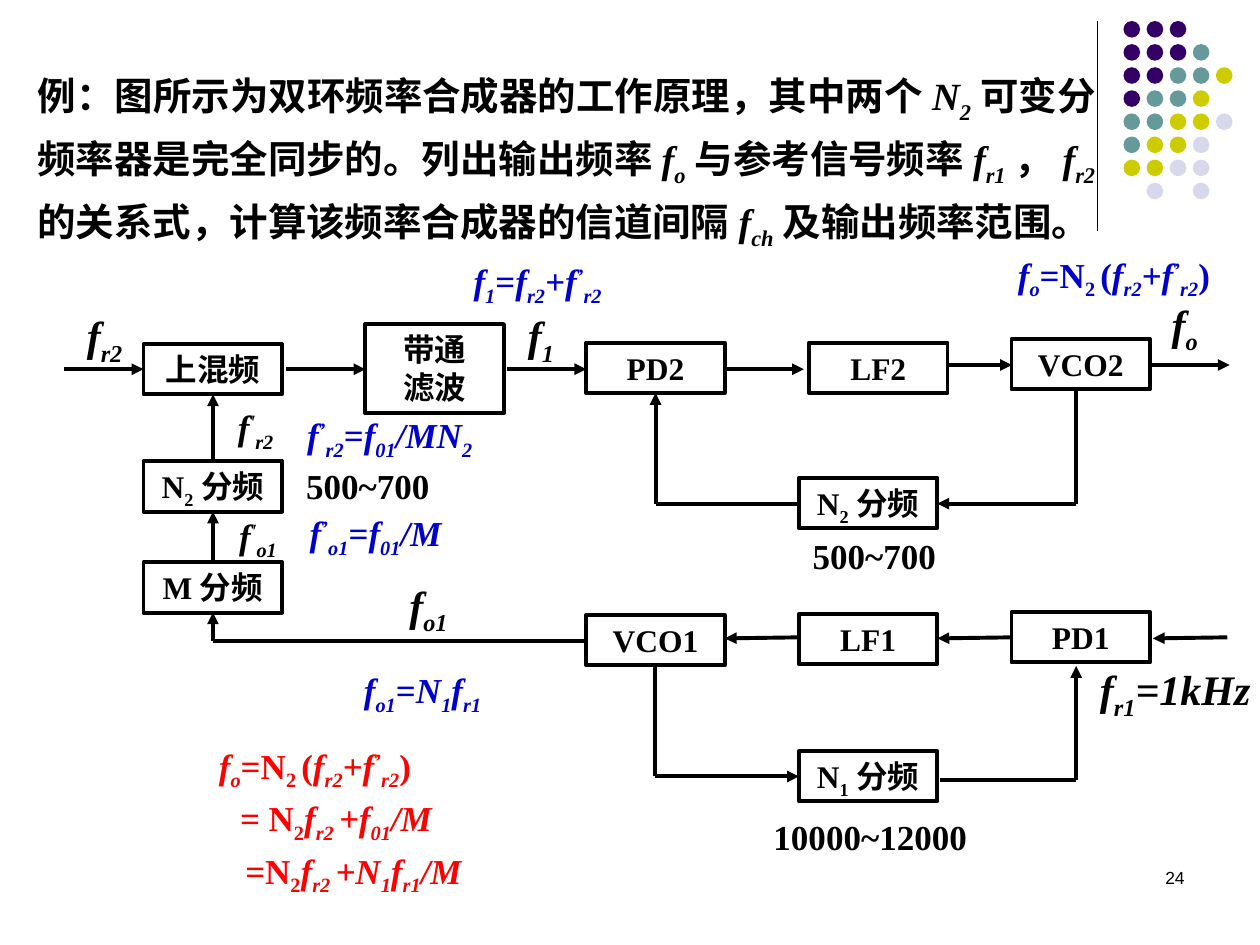
from itertools import pairwise

from lxml import etree
from pptx import Presentation
from pptx.dml.color import RGBColor
from pptx.enum.shapes import MSO_CONNECTOR, MSO_SHAPE
from pptx.enum.text import MSO_ANCHOR, MSO_AUTO_SIZE, PP_ALIGN
from pptx.oxml.ns import qn
from pptx.util import Pt

STRAIGHT = MSO_CONNECTOR.STRAIGHT
OVAL, RECTANGLE = MSO_SHAPE.OVAL, MSO_SHAPE.RECTANGLE
TOP = MSO_ANCHOR.TOP
GROW = MSO_AUTO_SIZE.SHAPE_TO_FIT_TEXT
CENTER, JUSTIFY, RIGHT = PP_ALIGN.CENTER, PP_ALIGN.JUSTIFY, PP_ALIGN.RIGHT
BLACK, BLUE, RED = "000000", "0000CC", "FF0000"
BASELINES = {"_": "-25000", "-": "-25000", "^": "30000"}


def color(value):
    return RGBColor.from_string(value)


def write(paragraph, markup, size, ink=BLACK):
    for piece in markup.split("|"):
        mark = piece[0] if piece[0] in "*_-^" else ""
        run = paragraph.add_run()
        run.text = piece[len(mark):]
        run.font.name = "Times New Roman"
        run.font.size = Pt(size)
        run.font.bold = True
        run.font.italic = mark in ("*", "_", "^")
        run.font.color.rgb = color(ink)
        if mark in BASELINES:
            run.font._element.set("baseline", BASELINES[mark])


presentation = Presentation()
presentation.slide_width = Pt(720)
presentation.slide_height = Pt(540)
slide = presentation.slides.add_slide(presentation.slide_layouts[6])
shapes = slide.shapes

dot_colors = {"P": "330066", "T": "669999", "Y": "CCCC00", "L": "D8D8EC"}
dot_rows = ["PPP", "PPPT", "PPTTY", "PTTY", "TTYYL", "TYYL", "YYLL", " L L"]
dots = shapes.add_group_shape()
for row, letters in enumerate(dot_rows):
    for column, letter in enumerate(letters):
        if letter in dot_colors:
            dot = dots.shapes.add_shape(OVAL, Pt(642 + 13.2 * column), Pt(12 + 13.2 * row),
                                        Pt(9.5), Pt(9.5))
            dot.shadow.inherit = False
            dot.fill.solid()
            dot.fill.fore_color.rgb = color(dot_colors[letter])
            dot.line.fill.background()

number_box = shapes.add_textbox(Pt(516), Pt(492), Pt(168), Pt(36))
number_box.text_frame.word_wrap = True
paragraph = number_box.text_frame.paragraphs[0]
paragraph.alignment = RIGHT
run = paragraph.add_run()
run.text = "24"
run.font.name = "Arial"
run.font.size = Pt(10)
run.font.color.rgb = color(BLACK)

question = shapes.add_textbox(Pt(14.4), Pt(31.7), Pt(618.8), Pt(112.3))
question.text_frame.word_wrap = True
paragraph = question.text_frame.paragraphs[0]
paragraph.alignment = JUSTIFY
paragraph.line_spacing = Pt(36)
paragraph._p.get_or_add_pPr().set("hangingPunct", "0")
write(paragraph, "例：图所示为双环频率合成器的工作原理，其中两个|*N|_2|可变分频率器是完全同步的。"
      "列出输出频率|*f|_o|与参考信号频率|*f|_r1|，|*f|_r2|的关系式，"
      "计算该频率合成器的信道间隔|*f|_ch|及输出频率范围。", 22)

blocks = [
    (82, 196.6, 28.8, ["上混频"]),
    (82, 263.6, 28.8, ["N|-2|分频"]),
    (82, 321.3, 28.8, ["M分频"]),
    (208.8, 185.2, 51, ["带通", "滤波"]),
    (335, 195.8, 28.8, ["PD2"]),
    (462.3, 195.8, 28.8, ["LF2"]),
    (578, 193.8, 28.8, ["VCO2"]),
    (456.5, 273, 28.8, ["N|-2|分频"]),
    (335, 351.5, 28.8, ["VCO1"]),
    (456.5, 350.8, 28.8, ["LF1"]),
    (578, 349.8, 28.8, ["PD1"]),
    (456.5, 429.2, 28.8, ["N|-1|分频"]),
]
for left, top, height, lines in blocks:
    block = shapes.add_shape(RECTANGLE, Pt(left), Pt(top), Pt(79.2), Pt(height))
    block.shadow.inherit = False
    block.fill.solid()
    block.fill.fore_color.rgb = color("FFFFFF")
    block.line.color.rgb = color(BLACK)
    block.line.width = Pt(2.25)
    frame = block.text_frame
    frame.word_wrap = True
    frame.auto_size = GROW
    frame.vertical_anchor = TOP
    for index, line in enumerate(lines):
        paragraph = frame.add_paragraph() if index else frame.paragraphs[0]
        paragraph.alignment = CENTER
        write(paragraph, line, 18)

divider = [(627.3, 12), (627.3, 132)]
signal_paths = [
    [(36.7, 211), (82, 211)],
    [(163.4, 211), (208.8, 211)],
    [(289.6, 211), (335, 211)],
    [(414.2, 211), (459.4, 211)],
    [(541.4, 208.6), (578.2, 208.6)],
    [(657.4, 208.6), (702.7, 208.6)],
    [(615, 223), (615, 287.8), (535.7, 287.8)],
    [(456.5, 287.8), (374.6, 287.8), (374.6, 224.6)],
    [(121.7, 263.6), (121.7, 225.4)],
    [(121.7, 321.3), (121.7, 292.4)],
    [(334.4, 366.3), (121.7, 366.3), (121.7, 350)],
    [(456.5, 364.2), (414.2, 364.8)],
    [(578.2, 364.2), (535.7, 364.8)],
    [(701.3, 364.2), (658.8, 364.8)],
    [(374.4, 380.6), (374.4, 443.7), (456.5, 443.7)],
    [(537.1, 445.7), (615, 445.7), (615, 380.6)],
]
for points in [divider] + signal_paths:
    for start, end in pairwise(points):
        connector = shapes.add_connector(STRAIGHT, *map(Pt, start + end))
        connector.line.color.rgb = color(BLACK)
        connector.line.width = Pt(0.75 if points is divider else 2.25)
        if points is not divider and end == points[-1]:
            etree.SubElement(connector.line._get_or_add_ln(), qn("a:tailEnd"), type="triangle")
        etree.SubElement(connector._element.spPr, qn("a:effectLst"))

labels = [
    (42.5, 173.5, 39.6, 24, BLACK, "*f|_r2"),
    (128.9, 228.2, 43.9, 20, BLACK, "*f|^'|_r2"),
    (129.6, 290.2, 43.9, 20, BLACK, "*f|^'|_o1"),
    (226.8, 327.6, 43.9, 24, BLACK, "*f|_o1"),
    (621.4, 375.8, 114.5, 24, BLACK, "*f|_r1|*=1kHz"),
    (662.4, 167, 43.9, 24, BLACK, "*f|_o"),
    (294.5, 173.5, 43.9, 24, BLACK, "*f|_1"),
    (457.2, 301.7, 157.7, 20, BLACK, "500~700"),
    (167.8, 262, 157.7, 20, BLACK, "500~700"),
    (434.9, 462.2, 157.7, 20, BLACK, "10000~12000"),
    (200.9, 378.7, 187.2, 20, BLUE, "*f|_o1|=|*N|_1|*f|_r1"),
    (168.5, 232.6, 187.2, 20, BLUE, "*f|^’|_r2|=|*f|_01|*/MN|_2"),
    (169.9, 288.7, 187.2, 20, BLUE, "*f|^’|_o1|=|*f|_01|*/M"),
    (263.5, 144.7, 102.2, 20, BLUE, "*f|_1|=|*f|_r2|*+f|^’|_r2"),
    (574.6, 141.1, 139.7, 20, BLUE, "*f|_o|=N|-2 |(|*f|_r2|*+f|^’|_r2|)"),
]
for left, top, width, size, ink, markup in labels:
    label = shapes.add_textbox(Pt(left), Pt(top), Pt(width), Pt(36 if size == 24 else 31.7))
    label.text_frame.word_wrap = True
    label.text_frame.auto_size = GROW
    write(label.text_frame.paragraphs[0], markup, size, ink)

derivation = [
    (0, "*f|_o|=N|-2 |(|*f|_r2|*+f|^’|_r2|)"),
    (12, "*=| N|-2|*f|_r2 |*+f|_01|*/M"),
    (15, "*=|N|-2|*f|_r2 |*+N|_1|*f|_r1|*/M"),
]
result = shapes.add_textbox(Pt(118), Pt(419), Pt(216.7), Pt(122.4))
result.text_frame.word_wrap = True
for index, (indent, markup) in enumerate(derivation):
    paragraph = result.text_frame.add_paragraph() if index else result.text_frame.paragraphs[0]
    paragraph.line_spacing = Pt(30)
    paragraph._p.get_or_add_pPr().set("marL", str(Pt(indent)))
    write(paragraph, markup, 20, RED)

presentation.save("out.pptx")
